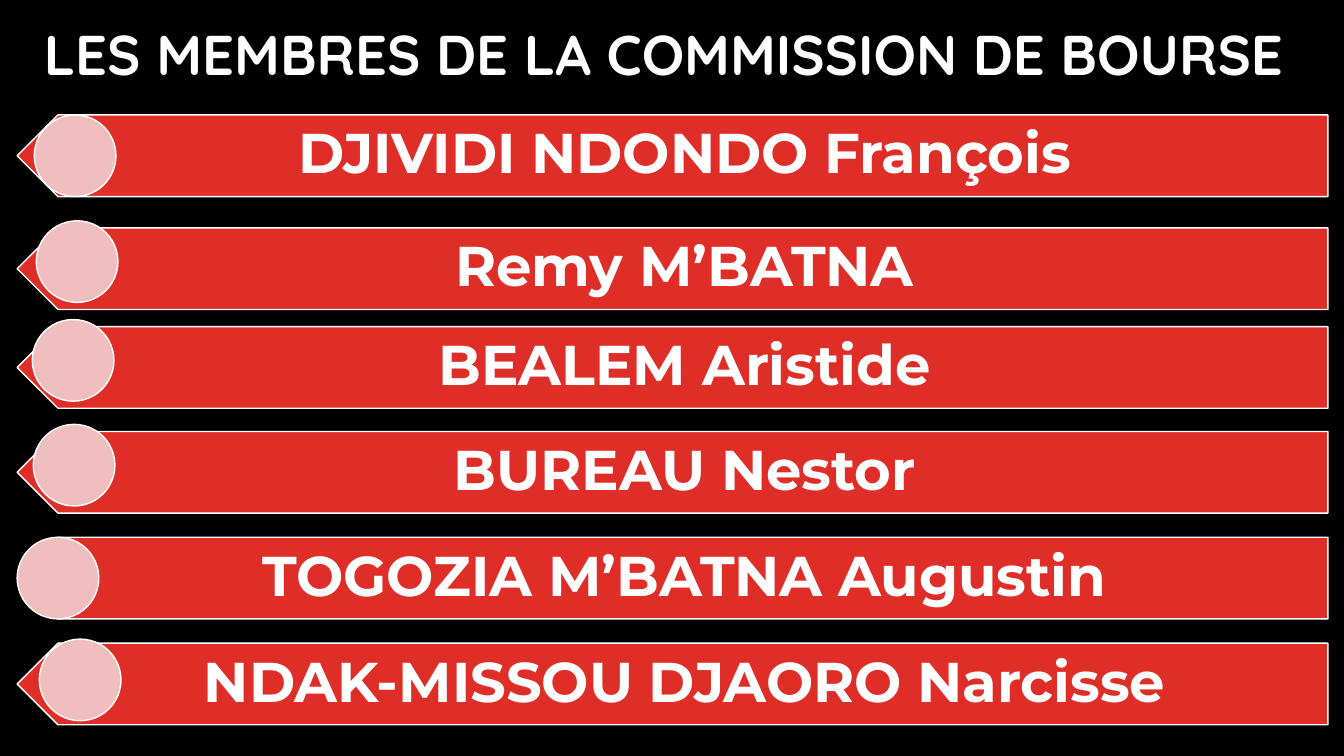
from pptx import Presentation
from pptx.dml.color import RGBColor
from pptx.enum.shapes import MSO_SHAPE
from pptx.enum.text import MSO_ANCHOR, PP_ALIGN
from pptx.util import Inches, Pt

COLORS = {"background": "000000", "banner": "DF2E28", "disc": "F0BEBE", "white": "FFFFFF"}
BANNER_LEFT, BANNER_WIDTH, ROW_HEIGHT = 0.17, 13, 0.81

# Name, banner top, disc left, disc top
MEMBERS = [
    ("DJIVIDI NDONDO François", 1.14, 0.34, 1.14),
    ("Remy M’BATNA", 2.26, 0.36, 2.19),
    ("BEALEM Aristide", 3.24, 0.32, 3.17),
    ("BUREAU Nestor", 4.28, 0.33, 4.21),
    ("TOGOZIA M’BATNA Augustin", 5.33, 0.17, 5.33),
    ("NDAK-MISSOU DJAORO Narcisse", 6.38, 0.39, 6.34),
]


def color(name):
    return RGBColor.from_string(COLORS[name])


class MemberSlide:
    def __init__(self, deck):
        self.page = deck.slides.add_slide(deck.slide_layouts[6])
        background = self.page.background.fill
        background.solid()
        background.fore_color.rgb = color("background")

    def shape(self, kind, left, top, width, height, fill):
        shape = self.page.shapes.add_shape(
            kind, Inches(left), Inches(top), Inches(width), Inches(height))
        shape.shadow.inherit = False
        shape.fill.solid()
        shape.fill.fore_color.rgb = color(fill)
        shape.line.color.rgb = color("white")
        shape.line.width = Pt(1)
        return shape

    def text(self, words, left, top, width, height, font, insets=(0.1, 0.05, 0.1, 0.05)):
        box = self.page.shapes.add_textbox(
            Inches(left), Inches(top), Inches(width), Inches(height))
        frame = box.text_frame
        frame.word_wrap = True
        frame.vertical_anchor = MSO_ANCHOR.MIDDLE
        (frame.margin_left, frame.margin_top,
         frame.margin_right, frame.margin_bottom) = map(Inches, insets)
        para = frame.paragraphs[0]
        para.text = words
        para.alignment = PP_ALIGN.CENTER
        para.line_spacing = 0.9
        para.font.name = font
        para.font.size = Pt(40)
        para.font.bold = True
        para.font.color.rgb = color("white")

    def member(self, name, top, disc_left, disc_top):
        banner = self.shape(MSO_SHAPE.PENTAGON, BANNER_LEFT, top,
                            BANNER_WIDTH, ROW_HEIGHT, "banner")
        banner.rotation = 180
        self.text(name, BANNER_LEFT + 0.2, top, BANNER_WIDTH - 0.21, ROW_HEIGHT,
                  "Montserrat", (0.36, 0.17, 0.31, 0.17))
        self.shape(MSO_SHAPE.OVAL, disc_left, disc_top, ROW_HEIGHT, ROW_HEIGHT, "disc")


def main():
    deck = Presentation()
    deck.slide_width, deck.slide_height = Inches(13.33), Inches(7.5)
    slide = MemberSlide(deck)

    # Title
    slide.text("LES MEMBRES DE LA COMMISSION DE BOURSE", 0, 0, 13.16, 1.14, "Quicksand")

    # Members
    for member in MEMBERS:
        slide.member(*member)

    deck.save("out.pptx")


if __name__ == "__main__":
    main()
